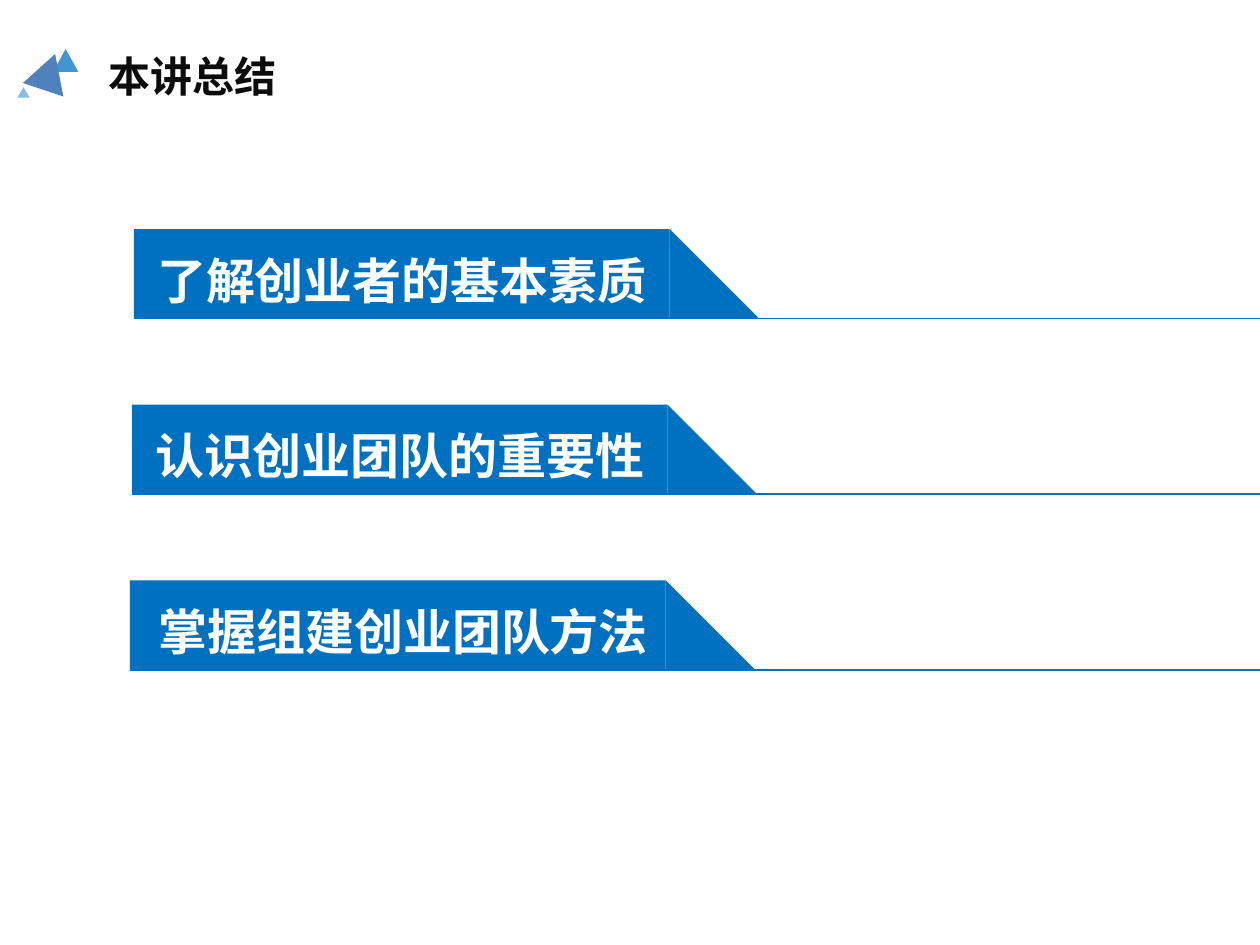
from lxml import etree
from pptx import Presentation
from pptx import util as u
from pptx.dml.color import RGBColor
from pptx.enum import shapes, text
from pptx.oxml.ns import qn

BLUE = RGBColor(0x00, 0x70, 0xC0)
STEEL = RGBColor(0x4F, 0x81, 0xBD)
INK = RGBColor(0x0C, 0x0C, 0x0C)
WHITE = RGBColor(0xFF, 0xFF, 0xFF)
FONT = "Noto Sans CJK SC"

SLIDE_WIDTH, SLIDE_HEIGHT = 25.4, 19.05
BAR_LEFT, BAR_TOP, BAR_WIDTH, BAR_HEIGHT = 2.7, 4.62, 10.8, 1.8
STEP_LEFT, STEP_TOP = -0.04, 3.54
INSET, WIDE_INSET = 0.25, 0.47


def write(frame, wording, size, color):
    para = frame.paragraphs[0]
    para.text = wording
    font = para.font
    font.name = FONT
    font.size = u.Pt(size)
    font.bold = True
    font.color.rgb = color
    properties = para._p.pPr.find(qn("a:defRPr"))
    etree.SubElement(properties, qn("a:ea"), typeface=FONT)
    return para


def add_filled(page, kind, left, top, width, height, color, opacity=100):
    shape = page.shapes.add_shape(
        kind, u.Cm(left), u.Cm(top), u.Cm(width), u.Cm(height))
    shape.shadow.inherit = False
    shape.fill.solid()
    shape.fill.fore_color.rgb = color
    shape.line.fill.background()
    if opacity < 100:
        tint = shape.fill._xPr.find(qn("a:solidFill"))[0]
        etree.SubElement(tint, qn("a:alpha"), val=str(opacity * 1000))
    return shape


def add_rule(page, left, right, top):
    rule = page.shapes.add_connector(
        shapes.MSO_CONNECTOR.STRAIGHT,
        u.Cm(left), u.Cm(top), u.Cm(right), u.Cm(top))
    rule.line.color.rgb = BLUE
    rule.line.width = u.Pt(1)
    etree.SubElement(rule._element.spPr, qn("a:effectLst"))


def add_title(page, wording):
    box = page.shapes.add_textbox(u.Cm(1.93), u.Cm(0.89), u.Cm(10.97), u.Cm(1.27))
    box.text_frame.word_wrap = True
    write(box.text_frame, wording, 24, INK)


def add_emblem(page):
    triangle = shapes.MSO_SHAPE.ISOSCELES_TRIANGLE
    add_filled(page, triangle, 1.07, 0.99, 0.51, 0.46, BLUE, 74)
    large = add_filled(page, triangle, 0.56, 1.07, 0.86, 0.76, STEEL)
    large.rotation = 18.5
    add_filled(page, triangle, 0.35, 1.76, 0.25, 0.21, BLUE, 47)


def add_banner(page, left, top, wording, inset):
    bar = add_filled(page, shapes.MSO_SHAPE.RECTANGLE,
                     left, top, BAR_WIDTH, BAR_HEIGHT, BLUE)
    frame = bar.text_frame
    frame.word_wrap = True
    frame.vertical_anchor = text.MSO_ANCHOR.MIDDLE
    frame.margin_left = u.Cm(inset)
    para = write(frame, wording, 28, WHITE)
    para.alignment = text.PP_ALIGN.CENTER
    para.line_spacing = 1.2
    add_filled(page, shapes.MSO_SHAPE.RIGHT_TRIANGLE,
               left + BAR_WIDTH, top, BAR_HEIGHT, BAR_HEIGHT, BLUE)
    add_rule(page, left, SLIDE_WIDTH, top + BAR_HEIGHT)


def main():
    deck = Presentation()
    deck.slide_width = u.Cm(SLIDE_WIDTH)
    deck.slide_height = u.Cm(SLIDE_HEIGHT)
    page = deck.slides.add_slide(deck.slide_layouts[6])
    add_title(page, "本讲总结")
    add_emblem(page)
    banners = [
        ("了解创业者的基本素质", INSET),
        ("认识创业团队的重要性", INSET),
        ("掌握组建创业团队方法", WIDE_INSET),
    ]
    for row, (wording, inset) in enumerate(banners):
        add_banner(page, BAR_LEFT + row * STEP_LEFT,
                   BAR_TOP + row * STEP_TOP, wording, inset)
    deck.save("out.pptx")


if __name__ == "__main__":
    main()
